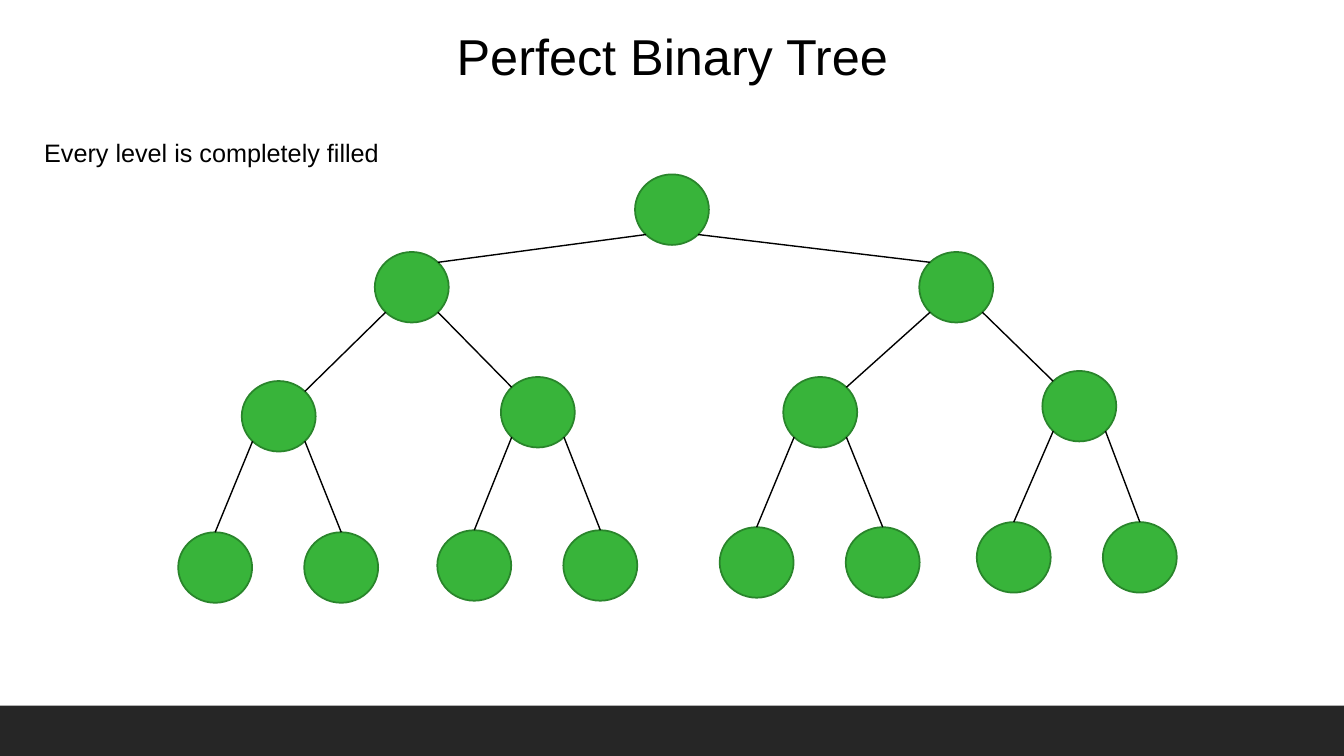
from dataclasses import dataclass
from math import sqrt

from pptx import Presentation
from pptx.dml.color import RGBColor
from pptx.enum.shapes import MSO_CONNECTOR, MSO_SHAPE
from pptx.enum.text import MSO_ANCHOR, MSO_AUTO_SIZE, PP_ALIGN
from pptx.oxml import parse_xml
from pptx.oxml.ns import nsdecls
from pptx.util import Inches, Pt


@dataclass(frozen=True)
class Theme:
    font: str = "Arial"
    ink: RGBColor = RGBColor(0x00, 0x00, 0x00)
    node: RGBColor = RGBColor(0x38, 0xB4, 0x3A)
    rim: RGBColor = RGBColor(0x29, 0x85, 0x2B)
    footer: RGBColor = RGBColor(0x26, 0x26, 0x26)
    title_size: int = 36
    caption_size: int = 18
    rim_width: float = 1.25
    edge_width: float = 1


# Node diameters, sibling leaf distance and all positions are percent of the slide.
NODE_WIDTH, NODE_HEIGHT = 5.5, 9.33
LEAF_GAP = 9.38
CORNER_X, CORNER_Y = NODE_WIDTH / 2 / sqrt(2), NODE_HEIGHT / 2 / sqrt(2)


def leaf_pair(middle, y):
    return [(middle + side * LEAF_GAP / 2, y, []) for side in (-1, 1)]


# Each node is (centre x, centre y, children).
TREE = (50, 27.73, [
    (30.64, 38, [
        (20.74, 55.07, leaf_pair(20.7, 75.07)),
        (40.02, 54.53, leaf_pair(39.98, 74.8)),
    ]),
    (71.15, 38, [
        (61.03, 54.53, leaf_pair(60.99, 74.4)),
        (80.31, 53.73, leaf_pair(80.12, 73.73)),
    ]),
])


class TreeSlide:
    """Draws on one slide, with lengths in percent of its width and height."""

    def __init__(self, deck, theme):
        self.deck, self.theme = deck, theme
        self.page = deck.slides.add_slide(deck.slide_layouts[5])

    def scale(self, x, y):
        return round(self.deck.slide_width * x / 100), round(self.deck.slide_height * y / 100)

    def set_text(self, box, text, size, align):
        frame = box.text_frame
        frame.text = text
        frame.vertical_anchor = MSO_ANCHOR.TOP
        frame.auto_size = MSO_AUTO_SIZE.SHAPE_TO_FIT_TEXT
        para = frame.paragraphs[0]
        para.alignment = align
        font = para.runs[0].font
        font.name, font.size = self.theme.font, Pt(size)
        font.color.rgb = self.theme.ink

    def title(self, text, left, top, width, height):
        box = self.page.shapes.title
        box.left, box.top = self.scale(left, top)
        box.width, box.height = self.scale(width, height)
        self.set_text(box, text, self.theme.title_size, PP_ALIGN.CENTER)

    def caption(self, text, left, top, width, height):
        box = self.page.shapes.add_textbox(*self.scale(left, top), *self.scale(width, height))
        self.set_text(box, text, self.theme.caption_size, PP_ALIGN.LEFT)
        box.text_frame.word_wrap = False

    def shape(self, kind, left, top, width, height, color):
        shape = self.page.shapes.add_shape(
            kind, *self.scale(left, top), *self.scale(width, height))
        shape.shadow.inherit = False
        shape.fill.solid()
        shape.fill.fore_color.rgb = color
        return shape

    def footer(self, top):
        bar = self.shape(MSO_SHAPE.RECTANGLE, 0, top, 100, 100 - top, self.theme.footer)
        bar.line.fill.background()

    def node(self, x, y):
        circle = self.shape(MSO_SHAPE.OVAL, x - NODE_WIDTH / 2, y - NODE_HEIGHT / 2,
                            NODE_WIDTH, NODE_HEIGHT, self.theme.node)
        circle.line.color.rgb = self.theme.rim
        circle.line.width = Pt(self.theme.rim_width)
        return circle

    def edge(self, start, end):
        line = self.page.shapes.add_connector(
            MSO_CONNECTOR.STRAIGHT, *self.scale(*start), *self.scale(*end))
        line.line.color.rgb = self.theme.ink
        line.line.width = Pt(self.theme.edge_width)
        line._element.spPr.append(parse_xml(f"<a:effectLst {nsdecls('a')}/>"))
        return line

    def tree(self, x, y, children):
        """Draw a node and its subtree; edges reach a leaf's top or an inner node's corner."""
        circle = self.node(x, y)
        for side, (child_x, child_y, grandchildren) in zip((-1, 1), children):
            child = self.tree(child_x, child_y, grandchildren)
            start = (x + side * CORNER_X, y + CORNER_Y)
            end = (child_x - side * CORNER_X, child_y - CORNER_Y)
            line = self.edge(start, end)
            if not grandchildren:
                line.end_connect(child, 0)
        return circle


def main():
    deck = Presentation()
    deck.slide_width, deck.slide_height = Inches(13.33), Inches(7.5)
    slide = TreeSlide(deck, Theme())
    slide.footer(93.33)
    slide.title("Perfect Binary Tree", 25.2, 2.67, 49.66, 9.47)
    slide.tree(*TREE)
    slide.caption("Every level is completely filled", 2.55, 17.47, 26.86, 5.33)
    deck.save("out.pptx")


if __name__ == "__main__":
    main()
